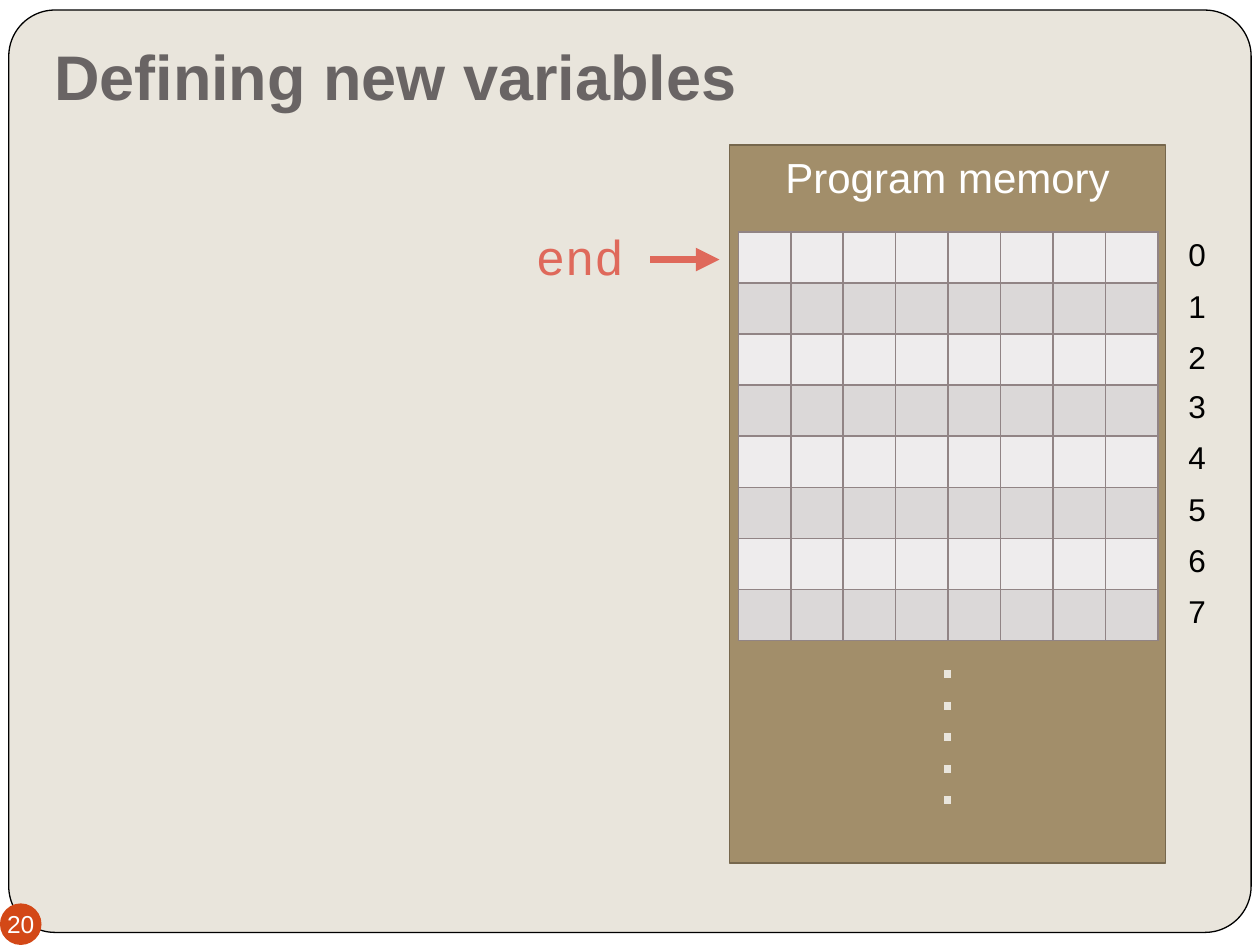
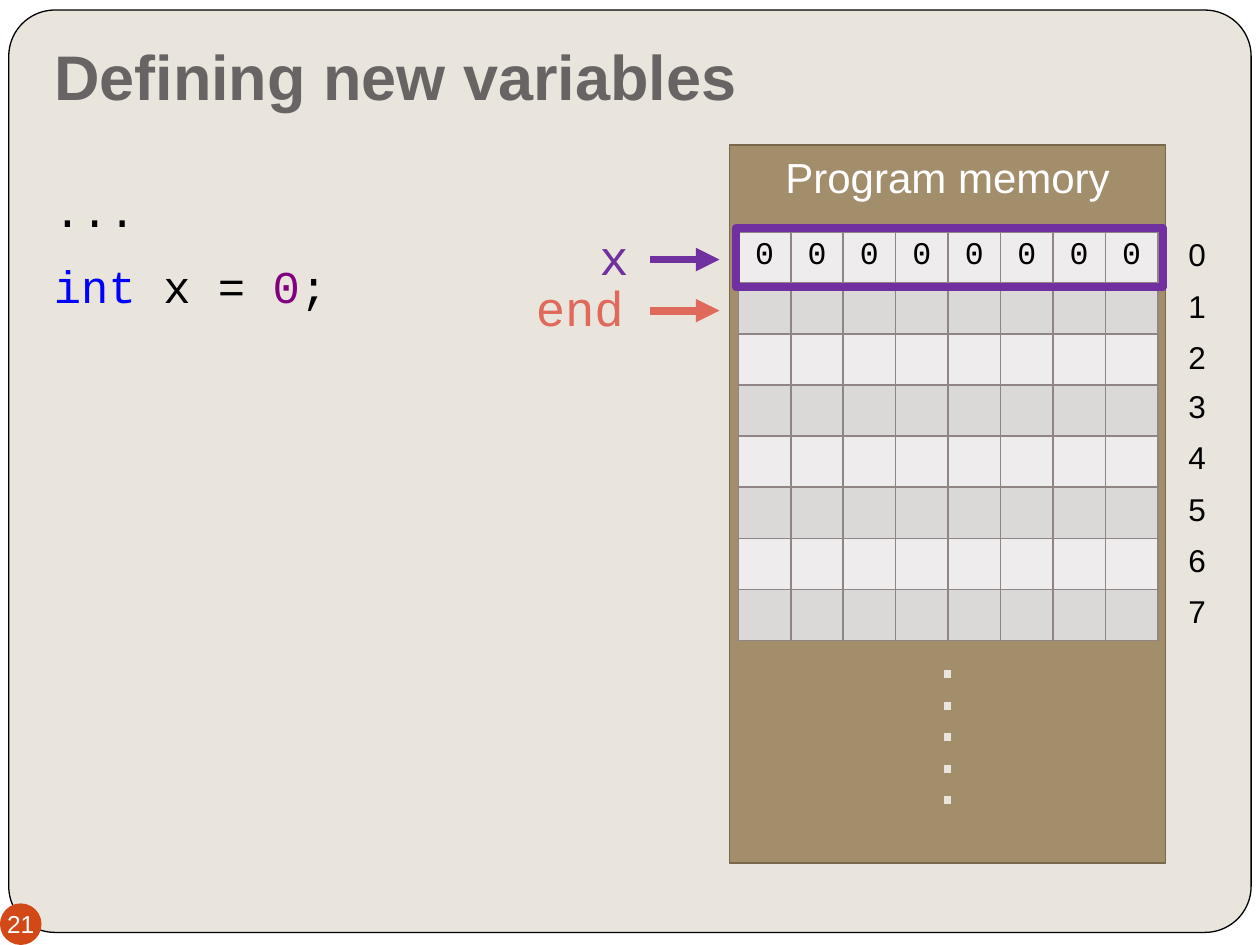
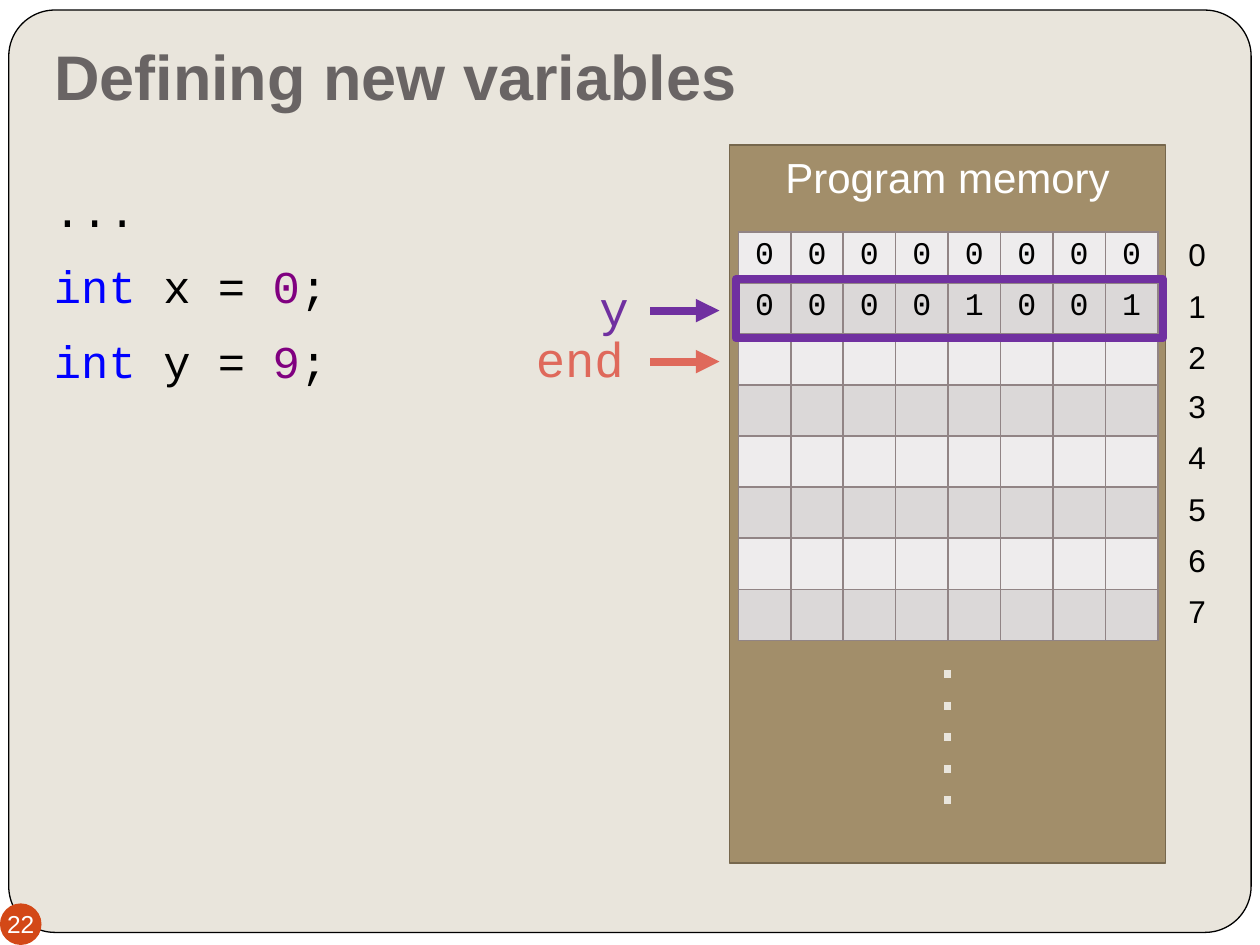
from lxml.etree import SubElement
from pptx import Presentation
from pptx.dml.color import RGBColor
from pptx.enum.shapes import MSO_CONNECTOR as LINE, MSO_SHAPE as SHAPE
from pptx.enum.text import MSO_ANCHOR as ANCHOR, MSO_AUTO_SIZE as AUTO, PP_ALIGN as ALIGN
from pptx.oxml.ns import qn
from pptx.util import Inches, Pt

COLORS = {
    "white": "FFFFFF", "black": "000000", "paper": "E9E5DC", "title": "696464",
    "badge": "D34817", "memory": "A28E6A", "memory_edge": "76674D",
    "grid": "918485", "light": "EEECED", "dark": "DBD8D8",
    "end": "DF695B", "variable": "7030A0", "keyword": "0000FF", "number": "800080",
}
SANS, MONO = "Arial", "Courier New"
PLAIN_TABLE = "{2D5ABB26-0587-4C30-8999-92F81FD0307C}"
TITLE = "Defining new variables"
BITS = ROWS = 8
GRID_TOP, GRID_HEIGHT = 1.84, 3.24
ROW_HEIGHT = GRID_HEIGHT / ROWS
TOKEN_COLORS = {"int": "keyword", "0": "number", "9": "number"}
ELLIPSIS = ["..."]
DEFINE_X = ["int", " x = ", "0", ";"]
DEFINE_Y = ["int", " y = ", "9", ";"]

SLIDES = [
    {"number": 20, "code": [], "bytes": [], "variable": None},
    {"number": 21, "code": [ELLIPSIS, DEFINE_X], "bytes": ["00000000"], "variable": "x"},
    {"number": 22, "code": [ELLIPSIS, DEFINE_X, DEFINE_Y],
     "bytes": ["00000000", "00001001"], "variable": "y"},
]


def rgb(name):
    """Return the named colour."""
    return RGBColor.from_string(COLORS[name])


def inches(box):
    """Turn a box of numbers into lengths."""
    return [Inches(value) for value in box]


def write(paragraph, text, size, color, font=SANS, align=ALIGN.LEFT, bold=False):
    """Append one formatted run to a paragraph."""
    paragraph.alignment = align
    run = paragraph.add_run()
    run.text = text
    for name, value in {"size": Pt(size), "name": font, "bold": bold}.items():
        setattr(run.font, name, value)
    run.font.color.rgb = rgb(color)


def set_frame(frame, anchor=ANCHOR.TOP, insets=(0.1, 0.05, 0.1, 0.05)):
    """Give a text frame its anchor, insets and wrapping."""
    left, top, right, bottom = inches(insets)
    values = {"margin_left": left, "margin_top": top, "margin_right": right,
              "margin_bottom": bottom, "vertical_anchor": anchor,
              "word_wrap": True, "auto_size": AUTO.NONE}
    for name, value in values.items():
        setattr(frame, name, value)


def add_panel(slide, kind, box, fill=None, line=None, width=1):
    """Draw a flat preset shape with optional fill and outline."""
    panel = slide.shapes.add_shape(kind, *inches(box))
    panel.shadow.inherit = False
    if fill:
        panel.fill.solid()
        panel.fill.fore_color.rgb = rgb(fill)
    else:
        panel.fill.background()
    if line:
        panel.line.color.rgb = rgb(line)
        panel.line.width = Pt(width)
    else:
        panel.line.fill.background()
    return panel


def add_line(slide, start, end, color, ending, **attributes):
    """Draw a thick line with a dash or arrowhead element."""
    line = slide.shapes.add_connector(LINE.STRAIGHT, *inches(start + end))
    line.line.color.rgb = rgb(color)
    line.line.width = Pt(4.5)
    SubElement(line.line._get_or_add_ln(), qn("a:" + ending), attributes)
    SubElement(line._element.spPr, qn("a:effectLst"))


def add_backdrop(slide):
    """Put the white page and rounded sheet on the slide's layout."""
    page = add_panel(slide, SHAPE.RECTANGLE, (0, 0, 10, 7.5), "white")
    sheet = add_panel(slide, SHAPE.ROUNDED_RECTANGLE, (0.07, 0.08, 9.86, 7.32),
                      "paper", "black", 0.75)
    sheet.adjustments[0] = 0.05
    layout_tree = slide.slide_layout.shapes._spTree
    for position, part in enumerate((page, sheet)):
        part._element.nvSpPr.cNvPr.set("id", str(100 + position))
        layout_tree.insert(2 + position, part._element)


def add_title(slide, box):
    """Place and format the title."""
    title = slide.shapes.title
    title.left, title.top, title.width, title.height = inches(box)
    set_frame(title.text_frame, ANCHOR.BOTTOM, (0.1, 0.05, 0.1, 0.1))
    write(title.text_frame.paragraphs[0], TITLE, 36, "title", bold=True)


def add_page_badge(slide, box, number):
    """Draw the round page number."""
    frame = add_panel(slide, SHAPE.OVAL, box, "badge").text_frame
    set_frame(frame, ANCHOR.MIDDLE, (0, 0, 0, 0))
    frame.word_wrap = False
    write(frame.paragraphs[0], str(number), 14, "white", align=ALIGN.CENTER)


def add_plain_table(slide, box, columns):
    """Add an unstyled table of ROWS rows and return it."""
    frame = slide.shapes.add_table(ROWS, columns, *inches(box))
    table = frame.table
    table.first_row = table.horz_banding = False
    table._tbl.tblPr.find(qn("a:tableStyleId")).text = PLAIN_TABLE
    return table


def add_cell_borders(cell):
    """Outline a cell on all four sides."""
    properties = cell._tc.get_or_add_tcPr()
    for position, side in enumerate(("lnL", "lnR", "lnT", "lnB")):
        border = SubElement(properties, qn("a:" + side), w=str(Pt(1)))
        properties.insert(position, border)
        fill = SubElement(border, qn("a:solidFill"))
        SubElement(fill, qn("a:srgbClr"), val=COLORS["grid"])


def add_bit_grid(slide, box, stored_bytes):
    """Draw the banded memory grid, one byte in each row."""
    table = add_plain_table(slide, box, BITS)
    for row in range(ROWS):
        for column in range(BITS):
            cell = table.cell(row, column)
            cell.fill.solid()
            cell.fill.fore_color.rgb = rgb("dark" if row % 2 else "light")
            add_cell_borders(cell)
            if row < len(stored_bytes):
                write(cell.text_frame.paragraphs[0], stored_bytes[row][column],
                      18, "black", MONO, ALIGN.CENTER)


def add_addresses(slide, box):
    """Number the memory rows beside the grid."""
    table = add_plain_table(slide, box, 1)
    short_row, short_height = 2, 0.39
    for row in range(ROWS):
        height = short_height if row == short_row else (box[3] - short_height) / (ROWS - 1)
        table.rows[row].height = Inches(height)
        write(table.cell(row, 0).text_frame.paragraphs[0], str(row), 18, "black",
              align=ALIGN.RIGHT)


def add_memory(slide, box, stored_bytes):
    """Draw the memory block with its grid, addresses and continuation dots."""
    left, top, width, height = box
    memory = add_panel(slide, SHAPE.RECTANGLE, box, "memory", "memory_edge")
    set_frame(memory.text_frame)
    write(memory.text_frame.paragraphs[0], "Program memory", 24, "white",
          align=ALIGN.CENTER)
    add_bit_grid(slide, (left + 0.07, GRID_TOP, 3.33, GRID_HEIGHT), stored_bytes)
    middle = left + width / 2
    add_line(slide, (middle, top + 4.17), (middle, top + 5.36), "paper",
             "prstDash", val="dot")
    add_addresses(slide, (left + width + 0.08, GRID_TOP, 0.34, GRID_HEIGHT))


def add_pointer(slide, row, name, color):
    """Point a named arrow at a memory row."""
    arrow_y = 2.06 + row * ROW_HEIGHT
    add_line(slide, (5.16, arrow_y), (5.71, arrow_y), color, "tailEnd", type="triangle")
    label_width = 0.13 + 0.26 * len(name)
    label = slide.shapes.add_textbox(
        *inches((5.05 - label_width, arrow_y - 0.31, label_width, 0.57)))
    set_frame(label.text_frame)
    write(label.text_frame.paragraphs[0], name, 28, color, MONO, ALIGN.RIGHT)


def add_code(slide, box, lines):
    """Write the coloured code lines."""
    frame = slide.shapes.add_textbox(*inches(box)).text_frame
    set_frame(frame)
    for index, tokens in enumerate(lines):
        paragraph = frame.add_paragraph() if index else frame.paragraphs[0]
        paragraph.line_spacing = 1.2
        paragraph.space_before = Pt(5.8 if index else 0)
        for token in tokens:
            write(paragraph, token, 26, TOKEN_COLORS.get(token, "black"), MONO)


def add_memory_slide(deck, number, code, stored_bytes, variable):
    """Build one step of the memory walk-through."""
    slide = deck.slides.add_slide(deck.slide_layouts[5])
    if len(deck.slides) == 1:
        add_backdrop(slide)
    add_title(slide, (0.33, 0.3, 9.33, 0.7))
    add_page_badge(slide, (0, 7.17, 0.33, 0.33), number)
    add_memory(slide, (5.79, 1.15, 3.46, 5.7), stored_bytes)
    if code:
        add_code(slide, (0.33, 1.31, 2.46, 5), code)
    end_row = len(stored_bytes)
    if variable:
        row = end_row - 1
        add_panel(slide, SHAPE.RECTANGLE, (5.84, 1.81 + row * ROW_HEIGHT, 3.39, 0.47),
                  line="variable", width=4.5)
        add_pointer(slide, row, variable, "variable")
    add_pointer(slide, end_row, "end", "end")


def main():
    """Build and save the deck."""
    deck = Presentation()
    deck.slide_width, deck.slide_height = Inches(10), Inches(7.5)
    background = deck.slide_master.background.fill
    background.solid()
    background.fore_color.rgb = rgb("paper")
    for step in SLIDES:
        add_memory_slide(deck, step["number"], step["code"], step["bytes"],
                         step["variable"])
    deck.save("out.pptx")


main()
